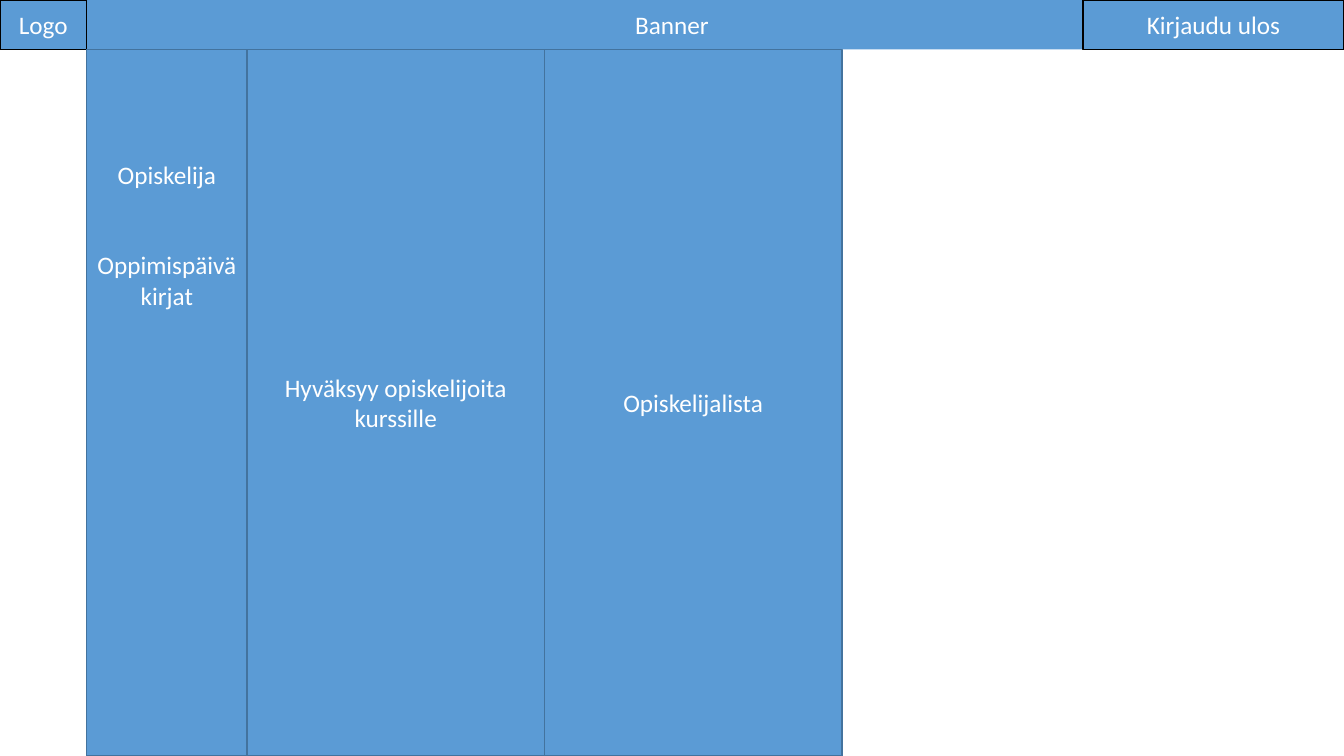
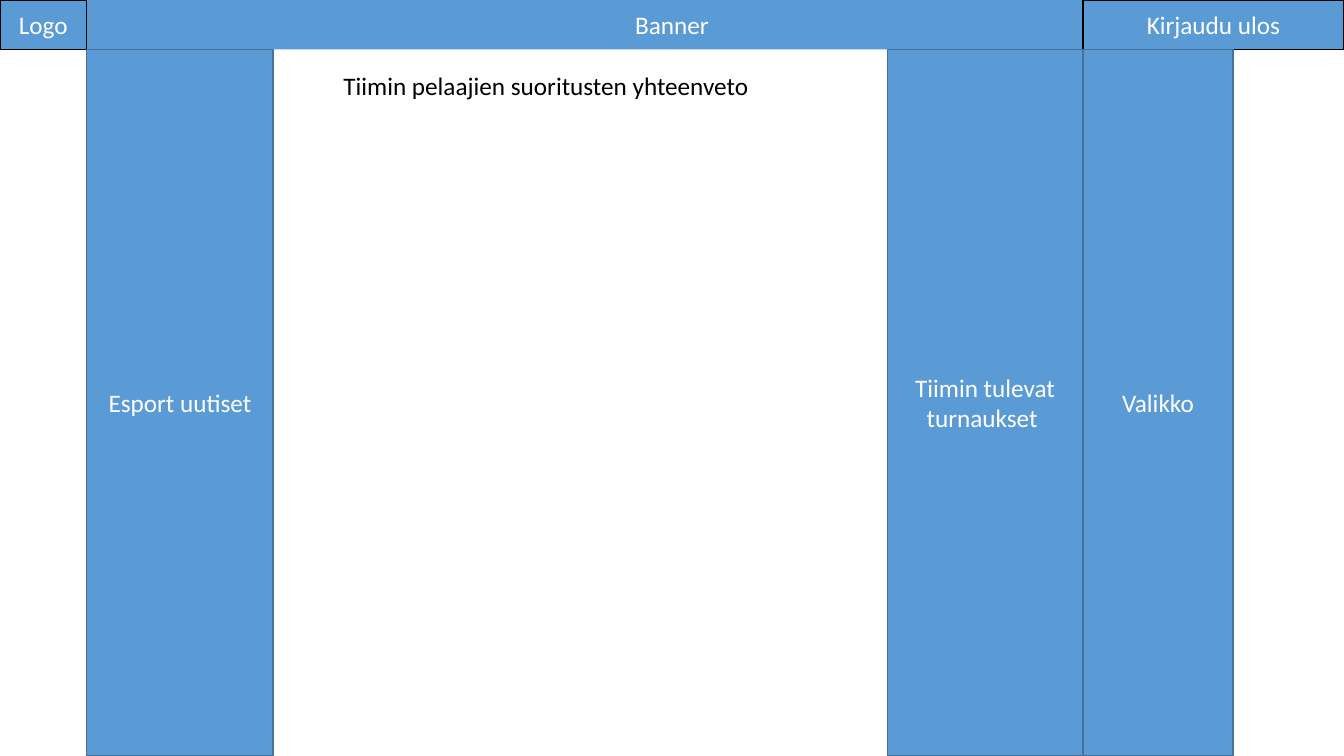
from pptx import Presentation
from pptx.dml.color import RGBColor
from pptx.enum.shapes import MSO_SHAPE
from pptx.enum.text import MSO_ANCHOR, PP_ALIGN
from pptx.util import Inches, Pt

RECT = MSO_SHAPE.RECTANGLE
CENTER = PP_ALIGN.CENTER
TOP, MIDDLE = MSO_ANCHOR.TOP, MSO_ANCHOR.MIDDLE

BLUE = RGBColor(0x5B, 0x9B, 0xD5)
EDGE = RGBColor(0x43, 0x73, 0x9E)
BLACK = RGBColor(0, 0, 0)
WHITE = RGBColor(0xFF, 0xFF, 0xFF)

FONT, SIZE = "Calibri", Pt(18)
BLANK = 6

# Page grid, in inches
PAGE_W, PAGE_H = 13.33, 7.5
BANNER_H = 0.49
LOGO_W = 0.86
LOGOUT_X = 10.74


def write(tf, lines, color, gap=0):
    """Write centred paragraphs, with a gap in points between them."""
    for i, line in enumerate(lines):
        p = tf.add_paragraph() if i else tf.paragraphs[0]
        p.text = line
        p.alignment = CENTER
        p.font.name, p.font.size = FONT, SIZE
        p.font.color.rgb = color
        if i:
            p.space_before = Pt(gap)


def add_box(s, x, y, w, h, *lines, edge=None, gap=0):
    """Add a blue rectangle with centred white text and return it."""
    sp = s.shapes.add_shape(RECT, Inches(x), Inches(y), Inches(w), Inches(h))
    sp.shadow.inherit = False
    sp.fill.solid()
    sp.fill.fore_color.rgb = BLUE
    if edge is None:
        sp.line.fill.background()
    else:
        sp.line.color.rgb = edge
        sp.line.width = Pt(1)
    tf = sp.text_frame
    tf.word_wrap = True
    tf.vertical_anchor = MIDDLE
    write(tf, lines, WHITE, gap)
    return sp


def add_column(s, x, w, *lines, gap=0):
    """Add a page column from the banner down to the bottom edge."""
    return add_box(s, x, BANNER_H, w, PAGE_H - BANNER_H, *lines,
                   edge=EDGE, gap=gap)


def add_heading(s, x, y, w, h, text):
    """Add a black heading on the white page area."""
    tf = s.shapes.add_textbox(Inches(x), Inches(y), Inches(w), Inches(h)).text_frame
    tf.word_wrap = True
    write(tf, [text], BLACK)


def add_page(prs):
    """Add a slide with the shared banner, logo box and log-out button."""
    s = prs.slides.add_slide(prs.slide_layouts[BLANK])
    add_box(s, 0, 0, PAGE_W, BANNER_H, "Banner")
    add_box(s, 0, 0, LOGO_W, BANNER_H, "Logo", edge=BLACK)
    add_box(s, LOGOUT_X, 0, PAGE_W - LOGOUT_X, BANNER_H, "Kirjaudu ulos", edge=BLACK)
    return s


def build_course_page(prs):
    """Build the page where students are accepted to a course."""
    s = add_page(prs)
    menu_w, panel_w = 1.59, 2.95
    menu = add_column(s, LOGO_W, menu_w, "Opiskelija", "Oppimispäiväkirjat", gap=43)
    menu.text_frame.vertical_anchor = TOP
    menu.text_frame.margin_top = Inches(1.09)
    panels = ["Hyväksyy opiskelijoita kurssille", "Opiskelijalista"]
    for i, text in enumerate(panels):
        add_column(s, LOGO_W + menu_w + i * panel_w, panel_w, text)


def build_team_page(prs):
    """Build the team page with news, results, tournaments and menu."""
    s = add_page(prs)
    tournaments_w = 1.94
    add_column(s, LOGO_W, 1.85, "Esport uutiset")
    add_heading(s, 3.28, 0.65, 4.27, 0.4, "Tiimin pelaajien suoritusten yhteenveto")
    add_column(s, LOGOUT_X - tournaments_w, tournaments_w, "Tiimin tulevat turnaukset ")
    add_column(s, LOGOUT_X, 1.49, "Valikko")


def main():
    """Build both pages and save them."""
    prs = Presentation()
    prs.slide_width, prs.slide_height = Inches(PAGE_W), Inches(PAGE_H)
    build_course_page(prs)
    build_team_page(prs)
    prs.save("out.pptx")


main()
